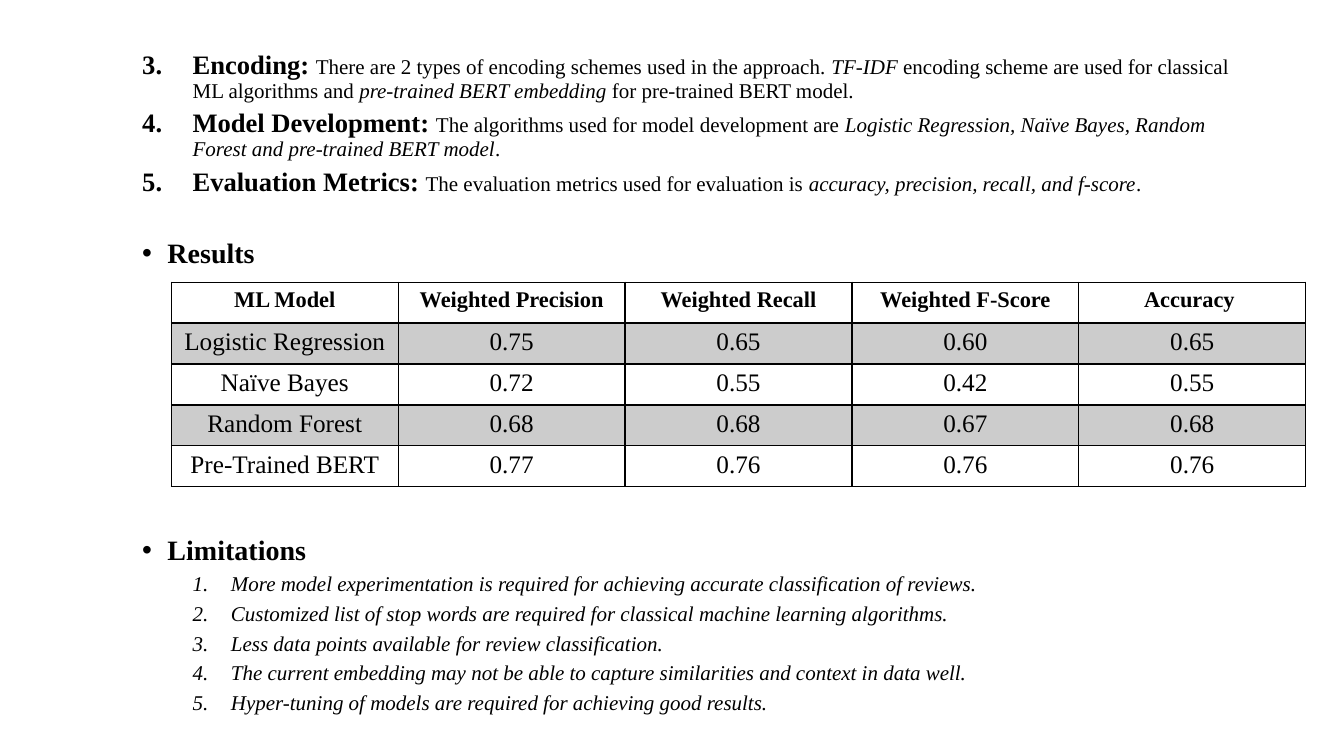
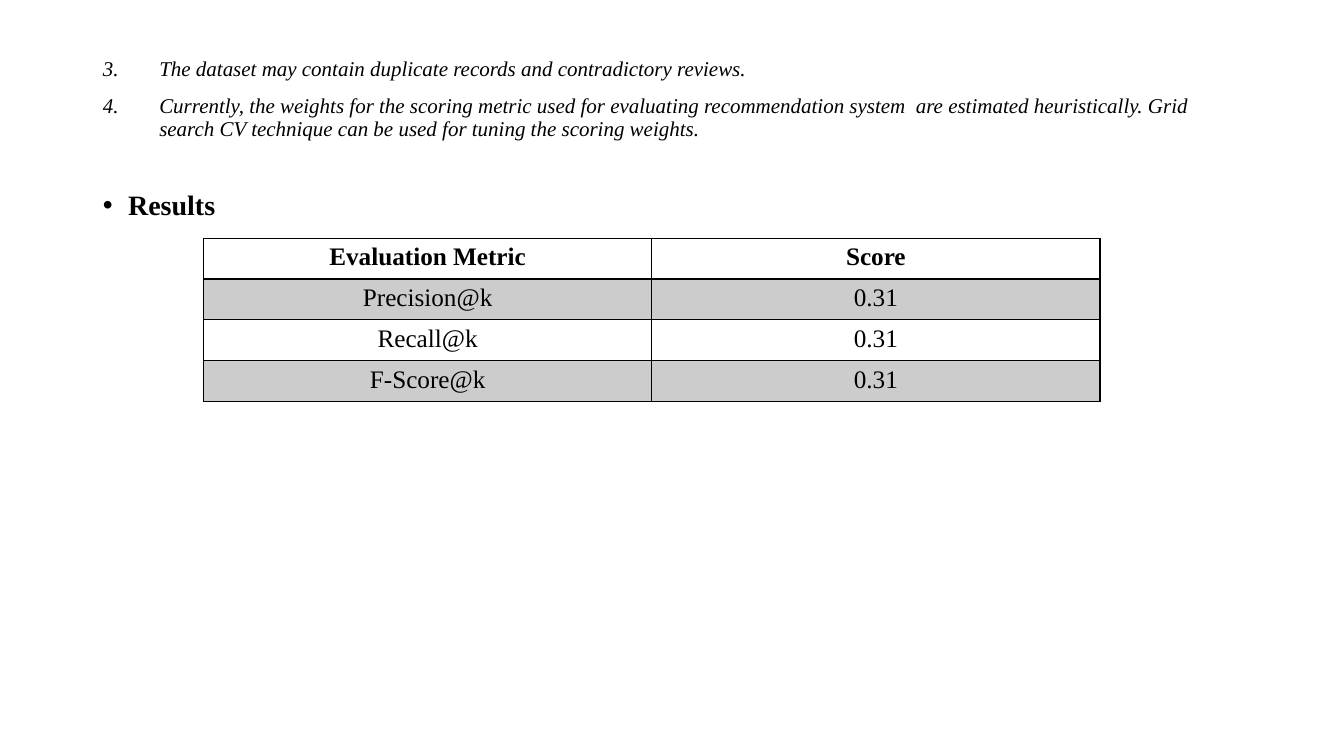
from dataclasses import dataclass

from lxml.etree import SubElement
from pptx import Presentation
from pptx.dml.color import RGBColor
from pptx.enum.text import MSO_ANCHOR, MSO_AUTO_SIZE, PP_ALIGN
from pptx.oxml.ns import qn
from pptx.util import Inches, Pt


@dataclass(frozen=True)
class Theme:
    """Hold the colours, type sizes and line widths of the deck."""
    font: str = "Times New Roman"
    ink: str = "000000"
    paper: str = "FFFFFF"
    band: str = "CCCCCC"
    label: int = 19
    heading: int = 20
    text: int = 15
    cell: int = 18
    leading: float = 0.9
    rule: int = 1
    head_rule: int = 2


T = Theme()
STYLES = {
    "label": {"size": Pt(T.label), "bold": True, "italic": False},
    "heading": {"size": Pt(T.heading), "bold": True, "italic": False},
    "plain": {"size": Pt(T.text), "bold": False, "italic": False},
    "em": {"size": Pt(T.text), "bold": False, "italic": True},
}


@dataclass(frozen=True)
class Item:
    """Describe the look of one kind of list paragraph."""
    level: int
    left: float
    hang: float
    before: int
    start: int = 0


STEP = Item(1, 1, 0.5, 5, 3)
SECTION = Item(1, 0.75, 0.25, 30)
LATE_SECTION = Item(1, 0.75, 0.25, 191)
LIMIT = Item(2, 1.38, 0.38, 5, 1)
NOTE = Item(0, 0.56, 0.56, 10, 3)
TOP_SECTION = Item(0, 0.25, 0.25, 36)

STEPS = [
    (STEP, [("Encoding: ", "label"),
            ("There are 2 types of encoding schemes used in the approach. ", "plain"),
            ("TF-IDF", "em"),
            (" encoding scheme are used for classical ML algorithms and ", "plain"),
            ("pre-trained BERT embedding ", "em"),
            ("for pre-trained BERT model.", "plain")]),
    (STEP, [("Model Development: ", "label"),
            ("The algorithms used for model development are ", "plain"),
            ("Logistic Regression, Naïve Bayes, Random Forest and "
             "pre-trained BERT model", "em"),
            (".", "plain")]),
    (STEP, [("Evaluation Metrics: ", "label"),
            ("The evaluation metrics used for evaluation is ", "plain"),
            ("accuracy, precision, recall, and f-score", "em"),
            (".", "plain")]),
]
LIMITS = [
    "More model experimentation is required for achieving accurate "
    "classification of reviews.",
    "Customized list of stop words are required for classical machine "
    "learning algorithms.",
    "Less data points available for review classification.",
    "The current embedding may not be able to capture similarities and "
    "context in data well.",
    "Hyper-tuning of models are required for achieving good results.",
]
NOTES = [
    "The dataset may contain duplicate records and contradictory reviews.",
    "Currently, the weights for the scoring metric used for evaluating "
    "recommendation system  are estimated heuristically. Grid search CV "
    "technique can be used for tuning the scoring weights.",
]
MODEL_SCORES = [
    ["ML Model", "Weighted Precision", "Weighted Recall", "Weighted F-Score",
     "Accuracy "],
    ["Logistic Regression", "0.75", "0.65", "0.60", "0.65"],
    ["Naïve Bayes", "0.72", "0.55", "0.42", "0.55"],
    ["Random Forest", "0.68", "0.68", "0.67", "0.68"],
    ["Pre-Trained BERT", "0.77", "0.76", "0.76", "0.76"],
]
METRIC_SCORES = [
    ["Evaluation Metric", "Score"],
    ["Precision@k", "0.31"],
    ["Recall@k", "0.31"],
    ["F-Score@k", "0.31"],
]


def set_attrs(obj, values):
    """Set each named attribute of an object."""
    for name, value in values.items():
        setattr(obj, name, value)


def in_slide(prs, box):
    """Turn a box in percent of the slide into lengths."""
    sizes = (prs.slide_width, prs.slide_height) * 2
    return [int(size * share / 100) for size, share in zip(sizes, box)]


def add_run(p, text, style):
    """Add a run of text in the deck's font and ink."""
    r = p.add_run()
    r.text = text
    set_attrs(r.font, {"name": T.font, **style})
    r.font.color.rgb = RGBColor.from_string(T.ink)


def format_item(p, item):
    """Give a paragraph its level, indents, spacing and bullet."""
    set_attrs(p, {"level": item.level, "line_spacing": T.leading,
                  "space_before": Pt(item.before), "space_after": Pt(0)})
    pPr = p._p.get_or_add_pPr()
    pPr.set("marL", str(Inches(item.left)))
    pPr.set("indent", str(-Inches(item.hang)))
    if item.start:
        SubElement(pPr, qn("a:buFont"), typeface="+mj-lt")
        SubElement(pPr, qn("a:buAutoNum"), type="arabicPeriod",
                   startAt=str(item.start))
    else:
        SubElement(pPr, qn("a:buFont"), typeface="Arial")
        SubElement(pPr, qn("a:buChar"), char="•")


def fill_body(prs, s, box, items):
    """Place the body placeholder and write its list."""
    sp = s.placeholders[1]
    set_attrs(sp, dict(zip(("left", "top", "width", "height"),
                           in_slide(prs, box))))
    tf = sp.text_frame
    set_attrs(tf, {"word_wrap": True, "auto_size": MSO_AUTO_SIZE.NONE,
                   "vertical_anchor": MSO_ANCHOR.TOP})
    for i, (item, runs) in enumerate(items):
        p = tf.add_paragraph() if i else tf.paragraphs[0]
        format_item(p, item)
        for text, style in runs:
            add_run(p, text, STYLES[style])


def border_cell(cell, widths):
    """Draw the sides of a cell in the given widths."""
    tcPr = cell._tc.get_or_add_tcPr()
    for i, (side, width) in enumerate(widths.items()):
        ln = SubElement(tcPr, qn(f"a:ln{side}"), w=str(Pt(width)))
        fill = SubElement(ln, qn("a:solidFill"))
        SubElement(fill, qn("a:srgbClr"), val=T.ink)
        tcPr.remove(ln)
        tcPr.insert(i, ln)


def score_table(prs, s, box, rows, head_size):
    """Place a banded score table with a ruled header row."""
    x, y, w, h = in_slide(prs, box)
    table = s.shapes.add_table(len(rows), len(rows[0]), x, y, w, h).table
    set_attrs(table, {"first_row": False, "horz_banding": False})
    for i, row in enumerate(rows):
        widths = dict.fromkeys("LRTB", T.rule)
        if i < 2:
            widths["TB"[i == 0]] = T.head_rule
        style = {"size": Pt(T.cell if i else head_size), "bold": i == 0}
        for j, text in enumerate(row):
            cell = table.cell(i, j)
            cell.fill.solid()
            cell.fill.fore_color.rgb = RGBColor.from_string(
                T.band if i % 2 else T.paper)
            border_cell(cell, widths)
            p = cell.text_frame.paragraphs[0]
            p.alignment = PP_ALIGN.CENTER
            add_run(p, text, style)


def results_slide(prs, body_box, items, table_box, rows, head_size):
    """Add a slide with a list and a table of results."""
    s = prs.slides.add_slide(prs.slide_layouts[1])
    title = s.shapes.title._element
    title.getparent().remove(title)
    fill_body(prs, s, body_box, items)
    score_table(prs, s, table_box, rows, head_size)


def main():
    """Build and save the deck."""
    prs = Presentation()
    set_attrs(prs, {"slide_width": Inches(13.33), "slide_height": Inches(7.5)})
    results = [("Results", "heading")]
    results_slide(
        prs, (6.08, 6.13, 86.27, 90.27),
        STEPS + [(SECTION, results),
                 (LATE_SECTION, [("Limitations", "heading")])]
        + [(LIMIT, [(text, "em")]) for text in LIMITS],
        (12.75, 37.33, 84.4, 27.07), MODEL_SCORES, 16)
    results_slide(
        prs, (6.9, 7.07, 86.27, 82.93),
        [(NOTE, [(text, "em")]) for text in NOTES] + [(TOP_SECTION, results)],
        (15.15, 31.5, 66.69, 21.6), METRIC_SCORES, T.cell)
    prs.save("out.pptx")


if __name__ == "__main__":
    main()
